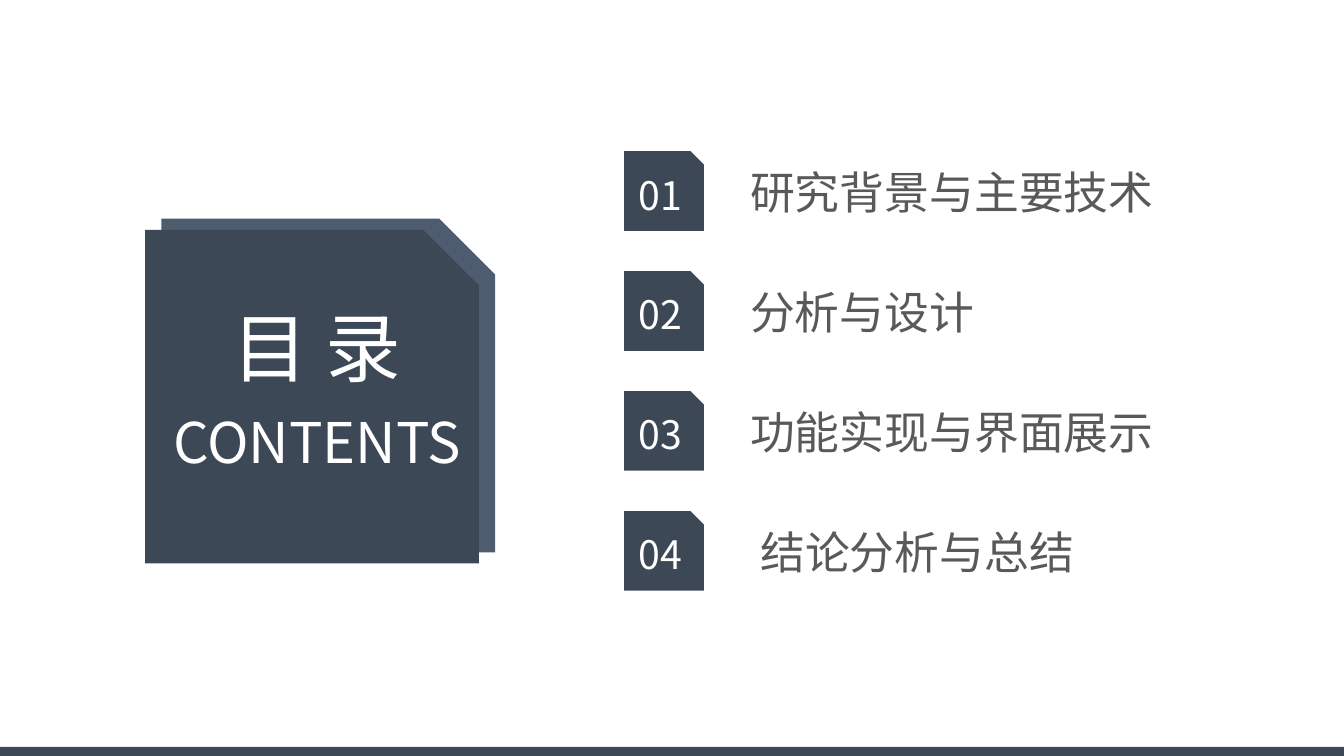
from lxml.etree import SubElement
from pptx import Presentation
from pptx.dml.color import RGBColor
from pptx.enum.shapes import MSO_SHAPE
from pptx.enum.text import MSO_ANCHOR, MSO_AUTO_SIZE, PP_ALIGN
from pptx.oxml.ns import qn
from pptx.util import Inches, Pt

WIDTH, HEIGHT = 13.33, 7.5
FONT = "Noto Sans CJK SC"
COLORS = {
    "navy": "3C4856",
    "slate": "4D5C6F",
    "label": "595959",
    "white": "FFFFFF",
}
# Each topic with the left inset of its label
TOPICS = [
    ("研究背景与主要技术", 0.2),
    ("分析与设计", 0.2),
    ("功能实现与界面展示", 0.2),
    ("结论分析与总结", 0.3),
]


def color(name):
    return RGBColor.from_string(COLORS[name])


def place(shape, left, top, width, height):
    shape.left, shape.top = Inches(left), Inches(top)
    shape.width, shape.height = Inches(width), Inches(height)


def add_block(page, kind, fill, left, top, width, height):
    block = page.shapes.add_shape(
        kind, Inches(left), Inches(top), Inches(width), Inches(height))
    block.shadow.inherit = False
    block.fill.solid()
    block.fill.fore_color.rgb = color(fill)
    block.line.fill.background()
    return block


def write(shape, text, size, ink, align=PP_ALIGN.CENTER, inset=0.04):
    frame = shape.text_frame
    frame.word_wrap = True
    frame.auto_size = MSO_AUTO_SIZE.NONE
    frame.vertical_anchor = MSO_ANCHOR.MIDDLE
    frame.margin_left, frame.margin_right = Inches(inset), Inches(0.04)
    frame.margin_top = frame.margin_bottom = 0
    para = frame.paragraphs[0]
    para.alignment = align
    para.line_spacing = 1.0
    para.space_before = Pt(0)
    span = para.add_run()
    span.text = text
    span.font.size = Pt(size)
    span.font.name = FONT
    span.font.color.rgb = color(ink)
    # Chinese characters take the East Asian typeface
    SubElement(span.font._element, qn("a:ea")).set("typeface", FONT)


def add_heading(page, left, top, side):
    # Two stacked cards with a snipped corner
    add_block(page, MSO_SHAPE.SNIP_1_RECTANGLE, "slate",
              left + 0.16, top - 0.11, side, side)
    add_block(page, MSO_SHAPE.SNIP_1_RECTANGLE, "navy", left, top, side, side)

    # Title placeholder, brought in front of the cards
    title = page.shapes.title
    page.shapes._spTree.append(title._element)
    place(title, left + 0.09, top + 0.65, side - 0.09, 1.01)
    write(title, "目 录", 54, "white")

    subtitle = page.shapes.add_textbox(0, 0, 0, 0)
    place(subtitle, left - 0.33, top + 1.71, side + 0.76, 0.77)
    write(subtitle, "CONTENTS", 40, "white")


def add_topics(page, left, top, pitch):
    for index, (topic, inset) in enumerate(TOPICS):
        row_top = top + index * pitch
        badge = add_block(page, MSO_SHAPE.SNIP_1_RECTANGLE, "navy",
                          left, row_top, 0.79, 0.79)
        write(badge, f"{index + 1:02}", 28, "white")
        label = page.shapes.add_textbox(0, 0, 0, 0)
        place(label, left + 1.05, row_top + 0.08, 5.03, 0.64)
        write(label, topic, 32, "label", PP_ALIGN.LEFT, inset)


def add_footer(page, height):
    add_block(page, MSO_SHAPE.RECTANGLE, "navy",
              0, HEIGHT - height, WIDTH, height)


def main():
    deck = Presentation()
    deck.slide_width, deck.slide_height = Inches(WIDTH), Inches(HEIGHT)
    page = deck.slides.add_slide(deck.slide_layouts[5])
    add_heading(page, left=1.44, top=2.28, side=3.31)
    add_topics(page, left=6.19, top=1.5, pitch=1.19)
    add_footer(page, height=0.09)
    deck.save("out.pptx")


if __name__ == "__main__":
    main()
